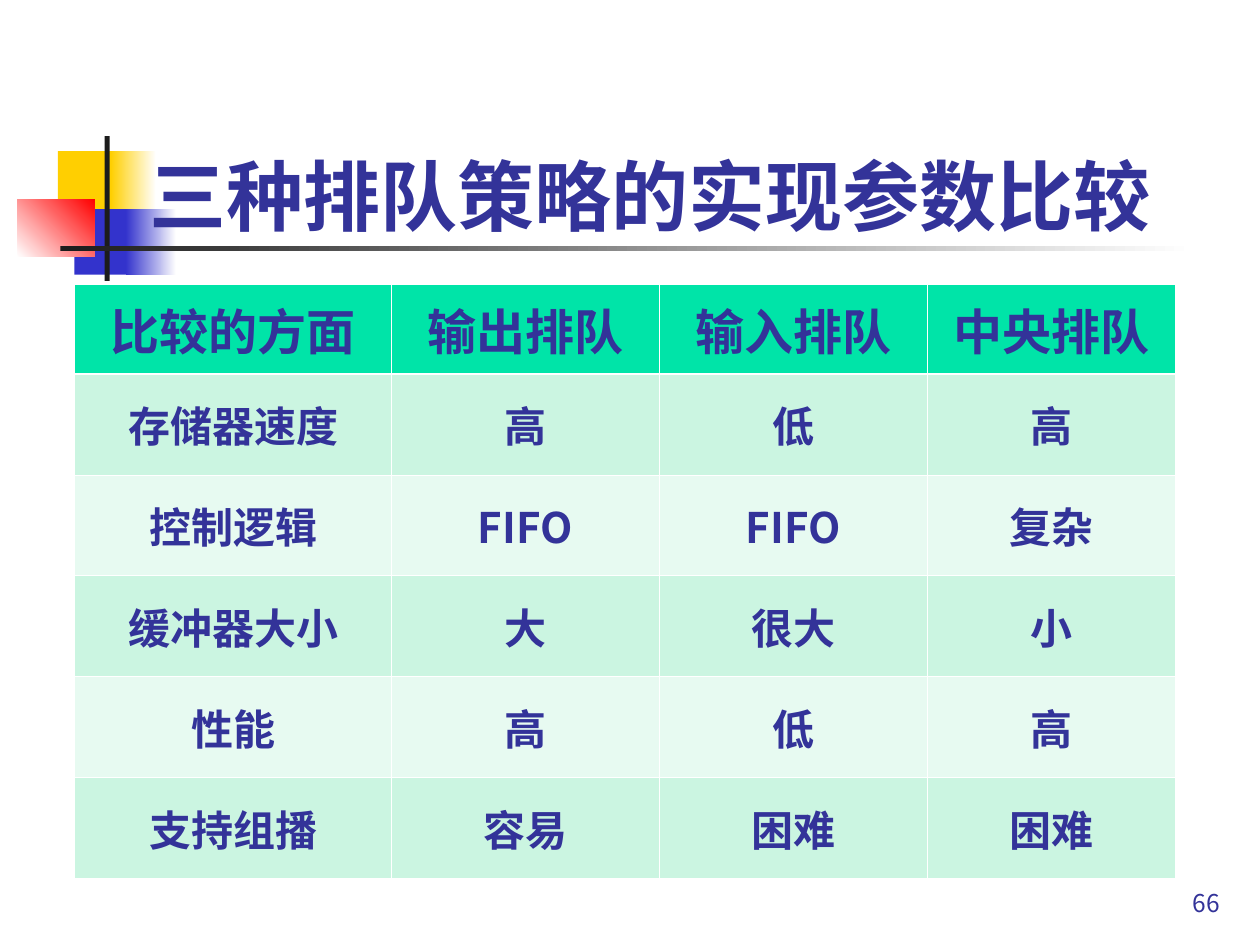
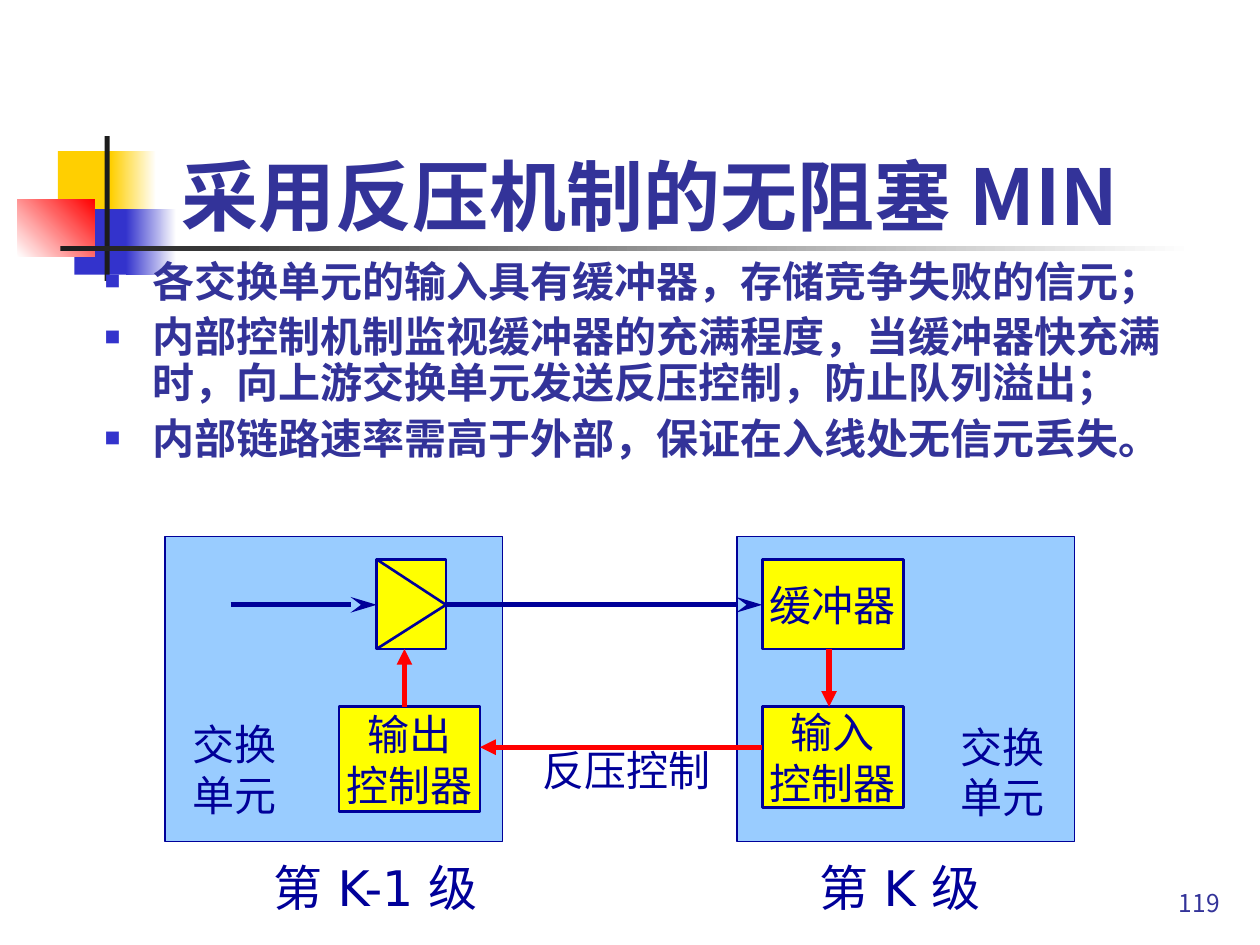
import pptx
import pptx.util
import pptx.dml.color
import pptx.enum.shapes
import pptx.enum.text
import pptx.oxml
import pptx.oxml.ns
import lxml.etree

Inches, Pt = pptx.util.Inches, pptx.util.Pt
RGB = pptx.dml.color.RGBColor.from_string
RECT = pptx.enum.shapes.MSO_SHAPE.RECTANGLE
STRAIGHT = pptx.enum.shapes.MSO_CONNECTOR.STRAIGHT
ALIGN = pptx.enum.text.PP_ALIGN
ANCHOR = pptx.enum.text.MSO_ANCHOR
NO_FIT = pptx.enum.text.MSO_AUTO_SIZE.NONE
qn = pptx.oxml.ns.qn
NS = pptx.oxml.ns.nsdecls("a")

COLORS = {
    "text": "333399", "white": "FFFFFF", "gold": "FFCF01", "blue": "3333CC",
    "red": "FF0000", "black": "1C1C1C", "navy": "000099", "unit": "99CCFF",
    "block": "FFFF00", "header": "00E4A8", "band": "CBF5E1", "pale": "E7FAF1",
}
MAIN_FONT = "Noto Sans CJK JP"
DIAGRAM_FONT = "DejaVu Sans"


def add_run(p, text, size, color="text", bold=False, font=MAIN_FONT):
    r = p.add_run()
    r.text = text
    r.font.size = Pt(size)
    r.font.bold = bold
    r.font.color.rgb = RGB(COLORS[color])
    r.font.name = font
    ea = lxml.etree.SubElement(r.font._element, qn("a:ea"))
    ea.set("typeface", font)


def add_line(s, start, end, color, width, head=None, length="med"):
    ends = [Inches(v) for v in (*start, *end)]
    line = s.shapes.add_connector(STRAIGHT, *ends)
    line.line.color.rgb = RGB(COLORS[color])
    line.line.width = Pt(width)
    if head:
        tail = lxml.etree.SubElement(line.line._get_or_add_ln(), qn("a:tailEnd"))
        tail.set("type", head)
        tail.set("len", length)
    lxml.etree.SubElement(line._element.spPr, qn("a:effectLst"))


prs = pptx.Presentation()
prs.slide_width, prs.slide_height = Inches(10), Inches(7.5)

# Shared frame: left, top, width, height, colours (two make a gradient), angle
DECOR = [
    (0.46, 1.2, 0.48, 0.52, ["gold"], 0),
    (0.88, 1.2, 0.36, 0.52, ["gold", "white"], 0),
    (0.59, 1.66, 0.46, 0.52, ["blue"], 0),
    (1, 1.66, 0.4, 0.52, ["blue", "white"], 0),
    (0.14, 1.58, 0.61, 0.46, ["white", "red"], 45),
    (0.83, 1.08, 0.04, 1.15, ["black"], 0),
    (0.48, 1.95, 9, 0.04, ["black", "white"], 0),
]
TITLE_ONLY, TITLE_BODY = prs.slide_layouts[5], prs.slide_layouts[1]
PAGES = [
    (TITLE_ONLY, "三种排队策略的实现参数比较", "66"),
    (TITLE_BODY, "采用反压机制的无阻塞 MIN", "119"),
]
for layout, title, number in PAGES:
    s = prs.slides.add_slide(layout)
    for x, y, w, h, colors, angle in DECOR:
        sp = s.shapes.add_shape(RECT, Inches(x), Inches(y), Inches(w), Inches(h))
        sp.shadow.inherit = False
        sp.line.fill.background()
        if len(colors) == 1:
            sp.fill.solid()
            sp.fill.fore_color.rgb = RGB(COLORS[colors[0]])
        else:
            sp.fill.gradient()
            sp.fill.gradient_angle = angle
            for stop, color in zip(sp.fill.gradient_stops, colors):
                stop.color.rgb = RGB(COLORS[color])

    # Placeholders go in front of the decoration
    for ph in list(s.placeholders):
        s.shapes.element.append(ph.element)

    sp = s.shapes.title
    sp.left, sp.top, sp.width, sp.height = [Inches(v) for v in (0.9, 0.36, 8.52, 1.6)]
    tf = sp.text_frame
    tf.auto_size = NO_FIT
    tf.vertical_anchor = ANCHOR.BOTTOM
    p = tf.paragraphs[0]
    p.alignment = ALIGN.CENTER
    add_run(p, title, 44, bold=True)

    sp = s.shapes.add_textbox(Inches(7.7), Inches(6.83), Inches(2.08), Inches(0.5))
    tf = sp.text_frame
    tf.word_wrap = True
    tf.vertical_anchor = ANCHOR.BOTTOM
    p = tf.paragraphs[0]
    p.alignment = ALIGN.RIGHT
    add_run(p, number, 14)

# Slide 1: comparison table
s = prs.slides[0]
ROWS = [
    ["比较的方面", "输出排队", "输入排队", "中央排队"],
    ["存储器速度", "高", "低", "高"],
    ["控制逻辑", "FIFO", "FIFO", "复杂"],
    ["缓冲器大小", "大", "很大", "小"],
    ["性能", "高", "低", "高"],
    ["支持组播", "容易", "困难", "困难"],
]
frame = s.shapes.add_table(len(ROWS), 4, Inches(0.59), Inches(2.26),
                           Inches(8.74), Inches(4.71))
table = frame.table
table.horz_banding = False
for col, width in zip(table.columns, (2.52, 2.12, 2.13, 1.97)):
    col.width = Inches(width)
for i, texts in enumerate(ROWS):
    table.rows[i].height = Inches(0.8 if i else 0.71)
    fill = "header" if i == 0 else "band" if i % 2 else "pale"
    widths = {"L": 0.45, "R": 0.45, "T": 1.47 if i == 1 else 0.45,
              "B": 0.45 if i else 1.47}
    for j, text in enumerate(texts):
        cell = table.cell(i, j)
        cell.vertical_anchor = ANCHOR.MIDDLE
        cell.fill.solid()
        cell.fill.fore_color.rgb = RGB(COLORS[fill])
        tcPr = cell._tc.get_or_add_tcPr()
        for k, (side, width) in enumerate(widths.items()):
            tcPr.insert(k, pptx.oxml.parse_xml(
                f'<a:ln{side} {NS} w="{Pt(width)}"><a:solidFill>'
                f'<a:srgbClr val="{COLORS["white"]}"/></a:solidFill></a:ln{side}>'))
        p = cell.text_frame.paragraphs[0]
        p.alignment = ALIGN.CENTER
        add_run(p, text, 24 if i else 28, bold=True)

# Slide 2: bullets
s = prs.slides[1]
BULLETS = [
    "各交换单元的输入具有缓冲器，存储竞争失败的信元；",
    "内部控制机制监视缓冲器的充满程度，当缓冲器快充满时，向上游交换单元发送反压控制，防止队列溢出；",
    "内部链路速率需高于外部，保证在入线处无信元丢失。",
]
sp = s.placeholders[1]
sp.left, sp.top, sp.width, sp.height = [Inches(v) for v in (0.83, 2.02, 8.66, 1.93)]
tf = sp.text_frame
tf.auto_size = NO_FIT
tf.margin_left = tf.margin_right = 0
for i, text in enumerate(BULLETS):
    p = tf.add_paragraph() if i else tf.paragraphs[0]
    pPr = p._p.get_or_add_pPr()
    pPr.set("marL", str(Inches(0.38)))
    pPr.set("indent", str(-Inches(0.38)))
    for xml in (f'<a:buClr {NS}><a:srgbClr val="{COLORS["blue"]}"/></a:buClr>',
                f'<a:buSzPct {NS} val="38000"/>',
                f'<a:buFont {NS} typeface="{MAIN_FONT}"/>',
                f'<a:buChar {NS} char="■"/>'):
        pPr.append(pptx.oxml.parse_xml(xml))
    p.line_spacing = 0.9
    p.space_before = Pt(6 if i else 0)
    add_run(p, text, 24, bold=True)

# Slide 2: switching units, blocks and labels
# left, top, width, height, fill, line width, text lines, text size
BOXES = [
    (5.85, 4.26, 2.68, 2.42, "unit", 0.75, [], 24),
    (1.31, 4.26, 2.68, 2.42, "unit", 0.75, [], 24),
    (2.69, 5.61, 1.12, 0.83, "block", 1.5, ["输出", "控制器"], 24),
    (6.05, 5.61, 1.12, 0.8, "block", 1.5, ["输入", "控制器"], 24),
    (2.99, 4.44, 0.55, 0.71, "block", 1.5, [], 24),
    (6.05, 4.44, 1.12, 0.71, "block", 1.5, ["缓冲器"], 24),
    (2.42, 6.68, 1.12, 0.71, None, 0, ["第 K-1 级"], 28),
    (6.58, 6.68, 1.12, 0.71, None, 0, ["第 K 级"], 28),
    (4.41, 5.75, 1.12, 0.71, None, 0, ["反压控制"], 24),
    (7.4, 5.77, 1.12, 0.71, None, 0, ["交换", "单元"], 24),
    (1.3, 5.75, 1.12, 0.71, None, 0, ["交换", "单元"], 24),
]
for x, y, w, h, fill, width, lines, size in BOXES:
    sp = s.shapes.add_shape(RECT, Inches(x), Inches(y), Inches(w), Inches(h))
    sp.shadow.inherit = False
    if fill:
        sp.fill.solid()
        sp.fill.fore_color.rgb = RGB(COLORS[fill])
        sp.line.color.rgb = RGB(COLORS["navy"])
        sp.line.width = Pt(width)
    else:
        sp.fill.background()
        sp.line.fill.background()
    tf = sp.text_frame
    tf.word_wrap = False
    tf.vertical_anchor = ANCHOR.MIDDLE
    tf.margin_left = tf.margin_right = tf.margin_top = tf.margin_bottom = 0
    for i, text in enumerate(lines):
        p = tf.add_paragraph() if i else tf.paragraphs[0]
        p.alignment = ALIGN.CENTER
        add_run(p, text, size, "navy", font=DIAGRAM_FONT)

# Slide 2: multiplexer sides, data flow and back-pressure
mux_tip = (3.54, 4.8)
add_line(s, (2.99, 4.44), mux_tip, "navy", 1.5)
add_line(s, mux_tip, (2.99, 5.15), "navy", 1.5)
add_line(s, (1.83, 4.8), (2.99, 4.8), "navy", 3, "stealth", "lg")
add_line(s, mux_tip, (6.05, 4.8), "navy", 3, "stealth", "lg")
add_line(s, (6.58, 5.15), (6.58, 5.61), "red", 3, "triangle")
add_line(s, (6.05, 5.93), (3.81, 5.93), "red", 3, "triangle")
add_line(s, (3.21, 5.61), (3.21, 5.15), "red", 3, "triangle")

prs.save("out.pptx")
